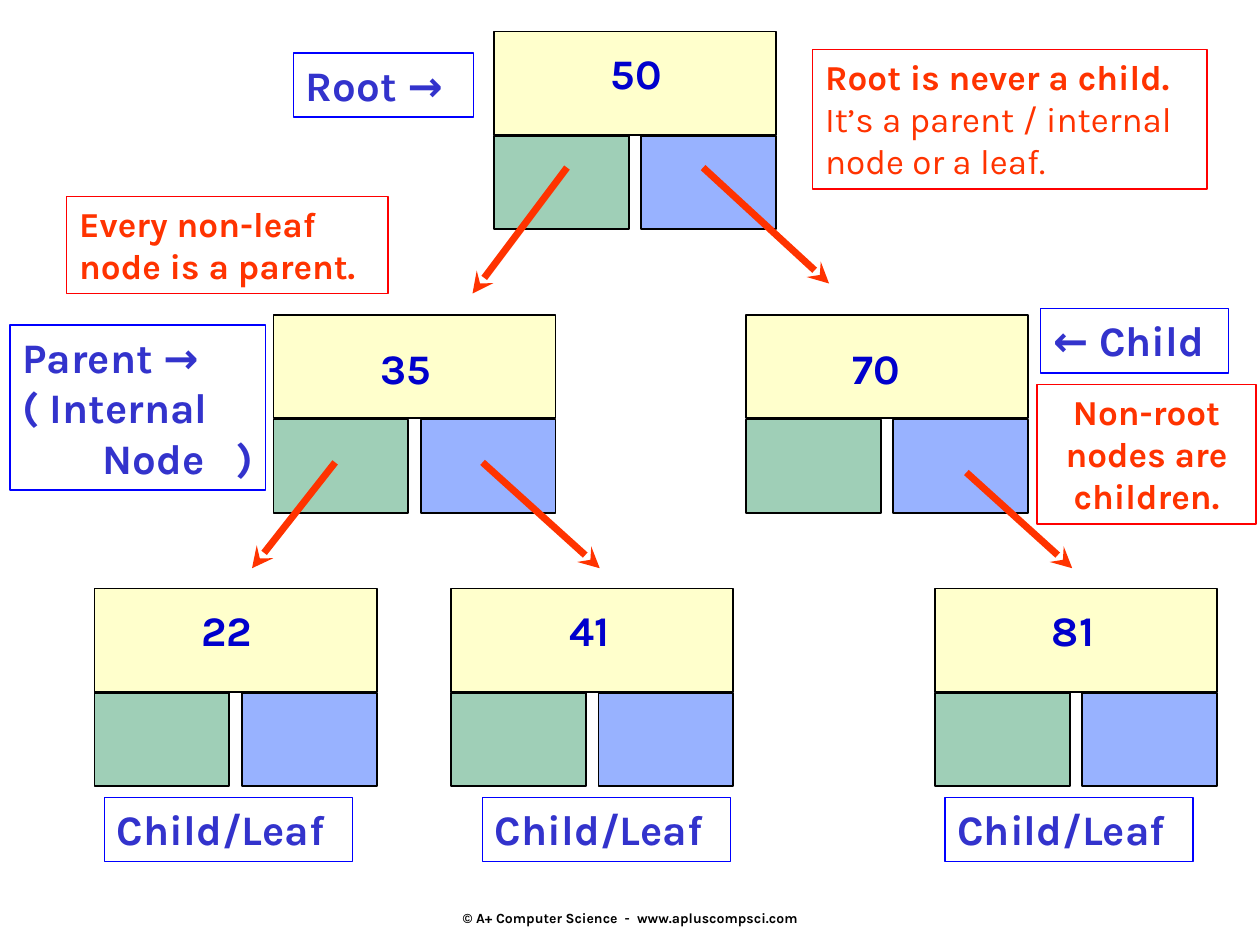
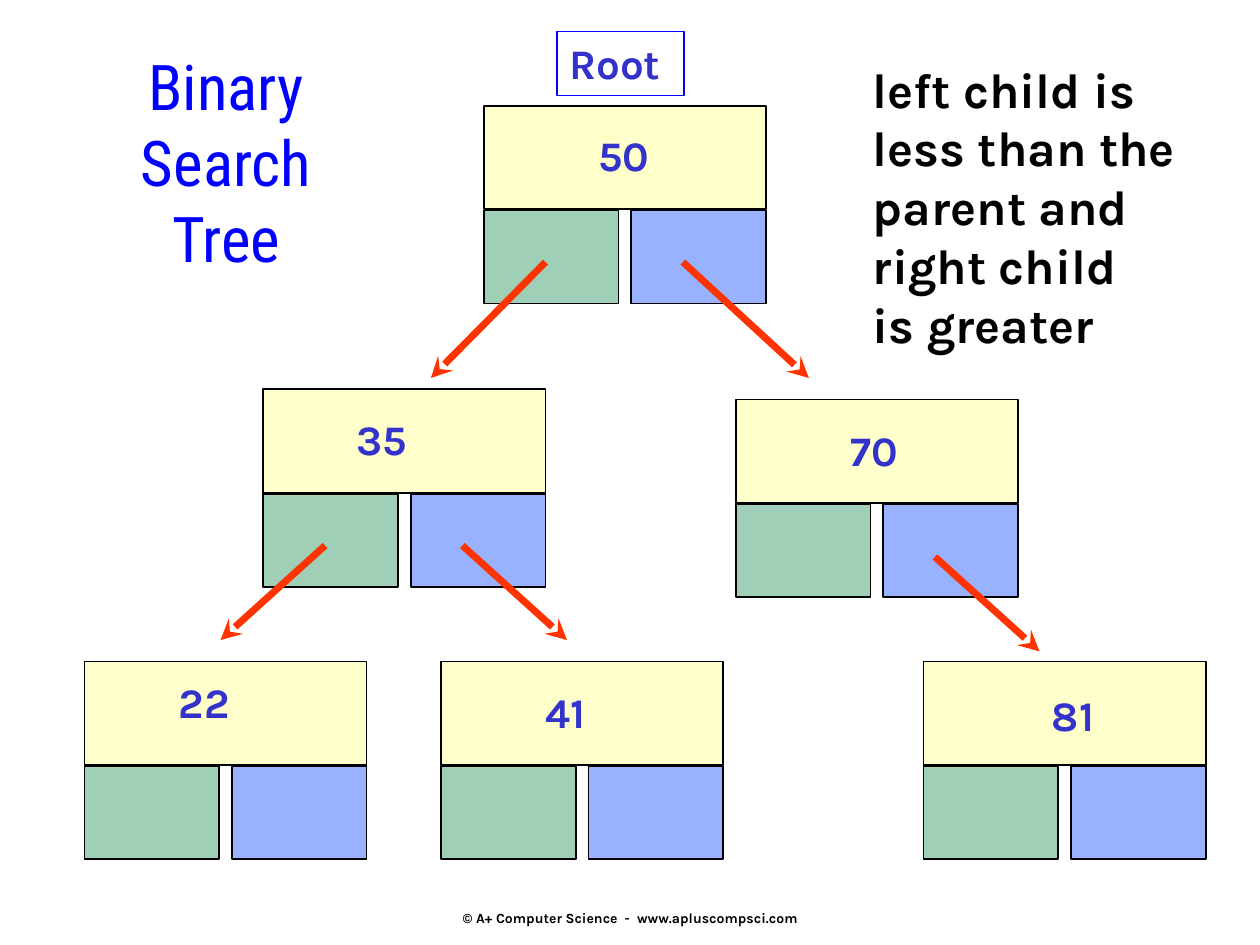
import lxml.etree
import pptx
import pptx.dml.color
import pptx.enum.shapes
import pptx.enum.text
import pptx.oxml.ns
import pptx.util

Inches = pptx.util.Inches
Align = pptx.enum.text.PP_ALIGN
qualified = pptx.oxml.ns.qn

COLORS = {
    "value box": "FFFFCC", "left link": "339966", "right link": "3366FF",
    "outline": "000000", "label": "3333CC", "label frame": "0000FF",
    "note": "FF3300", "note frame": "FF0000", "value": "0000CC",
    "arrow": "FF3300", "title": "0000FF", "black": "000000",
}
NODE_WIDTH, VALUE_HEIGHT = 2.24, 0.82
LINK_WIDTH, LINK_HEIGHT, LINK_STEP = 1.07, 0.74, 1.17
LINK_DROP = 0.83
FOOTER = "© A+ Computer Science  -  www.apluscompsci.com"


def write_text(shape, text, color="label", size=24, bold=True, font="Karla", align=Align.LEFT):
    """Fill the shape with one paragraph per line of text."""
    frame = shape.text_frame
    frame.word_wrap = True
    frame.auto_size = pptx.enum.text.MSO_AUTO_SIZE.NONE
    frame.vertical_anchor = pptx.enum.text.MSO_ANCHOR.TOP
    frame.text = text
    for paragraph in frame.paragraphs:
        paragraph.alignment = align
        paragraph.font.name = font
        paragraph.font.size = pptx.util.Pt(size)
        paragraph.font.bold = bold
        paragraph.font.color.rgb = pptx.dml.color.RGBColor.from_string(COLORS[color])


def add_box(slide, at, line, fill=None, opacity=None, line_width=1):
    """Add a rectangle; opacity is a percentage of the fill."""
    box = slide.shapes.add_shape(
        pptx.enum.shapes.MSO_SHAPE.RECTANGLE, *[Inches(length) for length in at])
    box.shadow.inherit = False
    box.line.color.rgb = pptx.dml.color.RGBColor.from_string(COLORS[line])
    box.line.width = pptx.util.Pt(line_width)
    if fill is None:
        box.fill.background()
    else:
        box.fill.solid()
        box.fill.fore_color.rgb = pptx.dml.color.RGBColor.from_string(COLORS[fill])
    if opacity is not None:
        color = box.fill._xPr.find(".//" + qualified("a:srgbClr"))
        lxml.etree.SubElement(color, qualified("a:alpha"), val=str(opacity * 1000))
    return box


presentation = pptx.Presentation()
presentation.slide_width = Inches(10)
presentation.slide_height = Inches(7.5)
terms_slide = presentation.slides.add_slide(presentation.slide_layouts[6])
search_slide = presentation.slides.add_slide(presentation.slide_layouts[5])

# Nodes: value, node left and top, value text left and top. Arrows: start, end.
trees = [
    (terms_slide, "value", [
        ("50", 3.92, 0.25, 4.75, 0.33),
        ("35", 2.17, 2.5, 2.92, 2.67),
        ("70", 5.92, 2.5, 6.67, 2.67),
        ("22", 0.75, 4.67, 1.5, 4.75),
        ("41", 3.58, 4.67, 4.42, 4.75),
        ("81", 7.42, 4.67, 8.25, 4.75),
    ], [
        (4.5, 1.33, 3.75, 2.33),
        (5.58, 1.33, 6.58, 2.25),
        (2.66, 3.67, 2, 4.51),
        (3.83, 3.67, 4.76, 4.51),
        (7.67, 3.75, 8.51, 4.51),
    ]),
    (search_slide, "label", [
        ("50", 3.84, 0.84, 4.65, 0.98),
        ("35", 2.09, 3.09, 2.73, 3.23),
        ("70", 5.84, 3.17, 6.65, 3.32),
        ("22", 0.67, 5.25, 1.32, 5.32),
        ("41", 3.5, 5.25, 4.23, 5.4),
        ("81", 7.33, 5.25, 8.25, 5.42),
    ], [
        (4.33, 2.08, 3.42, 3),
        (5.42, 2.08, 6.42, 3),
        (2.58, 4.33, 1.75, 5.08),
        (3.67, 4.33, 4.5, 5.08),
        (7.42, 4.42, 8.25, 5.17),
    ]),
]

for slide, value_color, nodes, arrows in trees:
    footer = slide.shapes.add_textbox(Inches(3.42), Inches(7.17), Inches(3.17), Inches(0.25))
    write_text(footer, FOOTER, color="black", size=8, align=Align.CENTER)

    for value, left, top, text_left, text_top in nodes:
        add_box(slide, (left, top, NODE_WIDTH, VALUE_HEIGHT), "outline", "value box")
        link_top = top + LINK_DROP
        add_box(slide, (left, link_top, LINK_WIDTH, LINK_HEIGHT),
                "outline", "left link", opacity=47)
        add_box(slide, (left + LINK_STEP, link_top, LINK_WIDTH, LINK_HEIGHT),
                "outline", "right link", opacity=50)
        value_text = slide.shapes.add_textbox(
            Inches(text_left), Inches(text_top), Inches(0.62), Inches(0.5))
        write_text(value_text, value, color=value_color)

    for ends in arrows:
        arrow = slide.shapes.add_connector(
            pptx.enum.shapes.MSO_CONNECTOR.STRAIGHT, *[Inches(length) for length in ends])
        arrow.line.color.rgb = pptx.dml.color.RGBColor.from_string(COLORS["arrow"])
        arrow.line.width = pptx.util.Pt(4)
        lxml.etree.SubElement(arrow.line._get_or_add_ln(), qualified("a:tailEnd"), type="stealth")
        lxml.etree.SubElement(arrow._element.spPr, qualified("a:effectLst"))

# Blue labels name the parts of the tree
labels = [
    (terms_slide, "Root →", (2.33, 0.42, 1.43, 0.51)),
    (terms_slide, "← Child", (8.26, 2.45, 1.49, 0.51)),
    (search_slide, "Root", (4.42, 0.25, 1.01, 0.51)),
]
for left in (0.83, 3.83, 7.5):
    labels.append((terms_slide, "Child/Leaf", (left, 6.33, 1.97, 0.51)))
for slide, text, at in labels:
    write_text(add_box(slide, at, "label frame", line_width=0.75), text)

parent_label = add_box(terms_slide, (0.08, 2.58, 2.03, 1.31), "label frame", line_width=0.75)
write_text(parent_label, "Parent →\n( Internal\nNode   )")
parent_label.text_frame.paragraphs[-1].alignment = Align.RIGHT

# Red notes state the rules
notes = [
    ("Every non-leaf node is a parent.", (0.53, 1.56, 2.55, 0.77), Align.LEFT),
    ("Non-root nodes are children.", (8.23, 3.05, 1.74, 1.11), Align.CENTER),
    ("Root is never a child.\nIt’s a parent / internal node or a leaf.",
     (6.45, 0.39, 3.13, 1.11), Align.LEFT),
]
for text, at, align in notes:
    note = add_box(terms_slide, at, "note frame", line_width=0.75)
    write_text(note, text, color="note", size=20, align=align)
    for paragraph in note.text_frame.paragraphs[1:]:
        paragraph.font.bold = False

title = search_slide.shapes.title
title.left, title.top = Inches(0.42), Inches(0.33)
title.width, title.height = Inches(2.75), Inches(2)
write_text(title, "Binary\nSearch\nTree", color="title", size=36, bold=False,
           font="Roboto Condensed", align=Align.CENTER)

ordering_rule = search_slide.shapes.add_textbox(
    Inches(6.83), Inches(0.42), Inches(2.71), Inches(2.44))
write_text(ordering_rule,
           "left child is\nless than the\nparent and\nright child\nis greater",
           color="black", size=28)

presentation.save("out.pptx")
